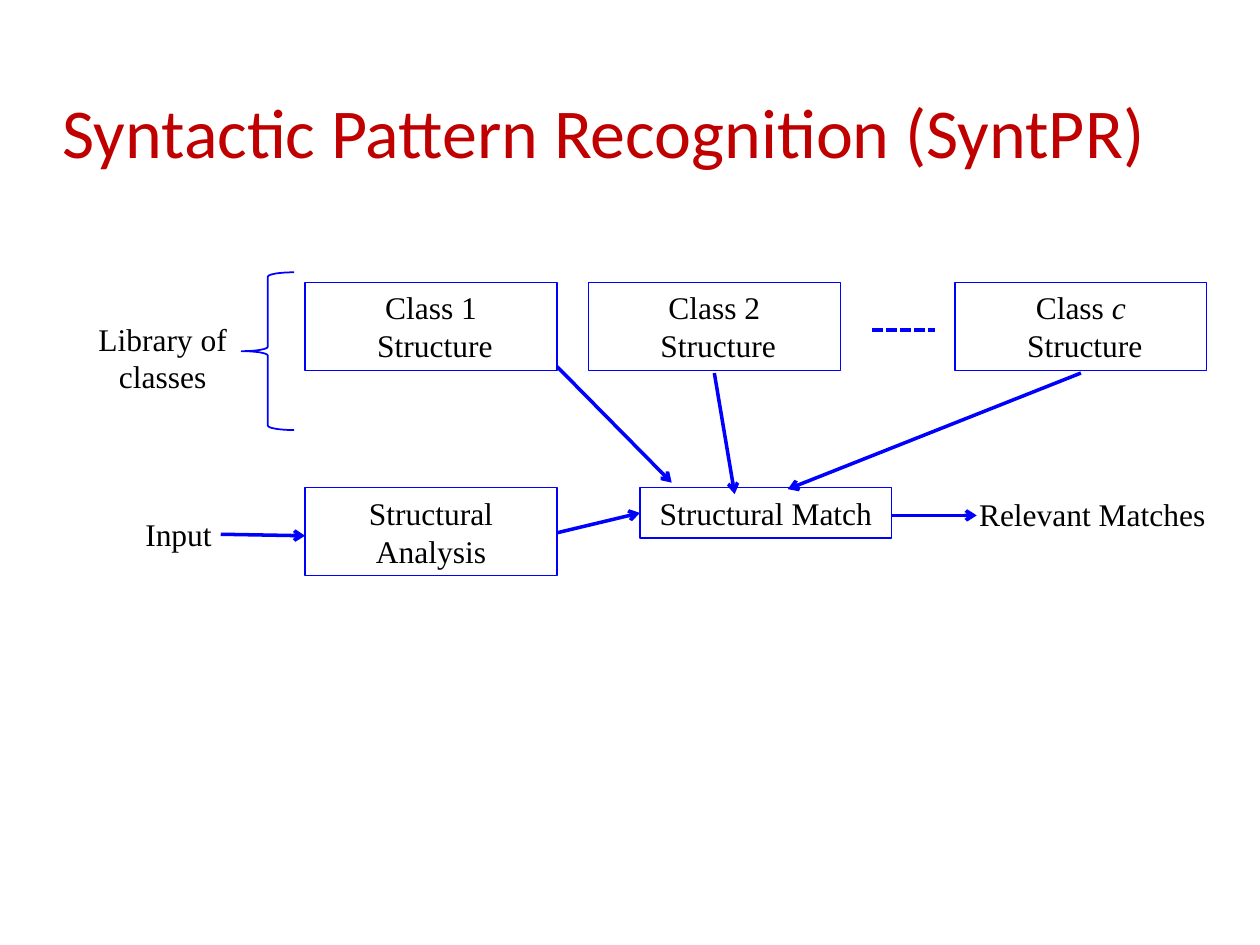
import pptx
import pptx.util
import pptx.dml.color
import pptx.enum.dml
import pptx.enum.shapes
import pptx.enum.text
import pptx.oxml.ns
from lxml import etree

Cm = pptx.util.Cm
Pt = pptx.util.Pt
RGB = pptx.dml.color.RGBColor.from_string

THEME = {
    "title": "C00000", "text": "000000", "line": "0000FF",
    "title_font": "Calibri", "body_font": "Times New Roman",
    "title_size": 40, "body_size": 18,
    "box_line": 0.75, "brace_line": 1, "arrow_line": 2,
}

TITLE = "Syntactic Pattern Recognition (SyntPR)"
BOX_W, ONE_LINE, TWO_LINES = 5.08, 1.02, 1.78
CLASS_TOP, MATCH_TOP = 5.69, 9.83
ANALYSIS_LEFT, MATCH_LEFT = 6.15, 12.9
ANALYSIS_RIGHT, MATCH_RIGHT = ANALYSIS_LEFT + BOX_W, MATCH_LEFT + BOX_W

CLASSES = [("1", ANALYSIS_LEFT), ("2", 11.86), ("c", 19.25)]
STEPS = [
    ("Structural Analysis", ANALYSIS_LEFT, TWO_LINES),
    ("Structural Match", MATCH_LEFT, ONE_LINE),
]
LABELS = [
    ("Relevant Matches", 19.48, 9.86, BOX_W, ONE_LINE),
    ("Input", 2.54, 10.26, 2.12, ONE_LINE),
    ("Library of classes", 1.48, 6.32, 3.6, TWO_LINES),
]
BRACE = (4.87, 5.49, 1.06, 3.18)
ELLIPSIS = (17.58, 6.65, 18.85, 6.65)
ARROWS = [
    (ANALYSIS_RIGHT, 10.74, MATCH_LEFT, 10.34),
    (MATCH_RIGHT, 10.39, 19.69, 10.39),
    (4.45, 10.77, ANALYSIS_LEFT, 10.8),
    (ANALYSIS_RIGHT, 7.39, 13.54, 9.73),
    (14.4, 7.52, 14.81, 9.96),
    (21.79, 7.52, 15.88, 9.86),
]


def write(sp, paragraphs):
    tf = sp.text_frame
    tf.word_wrap = True
    tf.auto_size = pptx.enum.text.MSO_AUTO_SIZE.SHAPE_TO_FIT_TEXT
    tf.vertical_anchor = pptx.enum.text.MSO_ANCHOR.TOP
    for i, runs in enumerate(paragraphs):
        p = tf.add_paragraph() if i else tf.paragraphs[0]
        p.alignment = pptx.enum.text.PP_ALIGN.CENTER
        for text in runs:
            r = p.add_run()
            r.text = text
            r.font.name = THEME["body_font"]
            r.font.size = Pt(THEME["body_size"])
            r.font.color.rgb = RGB(THEME["text"])
            if text == "c":
                r.font.italic = True


def outline(sp, width):
    sp.line.color.rgb = RGB(THEME["line"])
    sp.line.width = Pt(width)


def add_shape(s, kind, place, width):
    sp = s.shapes.add_shape(kind, *map(Cm, place))
    sp.shadow.inherit = False
    sp.fill.background()
    outline(sp, width)
    return sp


def add_box(s, paragraphs, left, top, height):
    place = (left, top, BOX_W, height)
    kind = pptx.enum.shapes.MSO_SHAPE.RECTANGLE
    write(add_shape(s, kind, place, THEME["box_line"]), paragraphs)


def add_line(s, ends):
    kind = pptx.enum.shapes.MSO_CONNECTOR.STRAIGHT
    sp = s.shapes.add_connector(kind, *map(Cm, ends))
    outline(sp, THEME["arrow_line"])
    etree.SubElement(sp._element.spPr, pptx.oxml.ns.qn("a:effectLst"))
    return sp


def add_title(s):
    sp = s.shapes.title
    sp.left, sp.top, sp.width, sp.height = map(Cm, (0.84, 1.9, 22.66, 1.48))
    tf = sp.text_frame
    tf.text = TITLE
    tf.word_wrap = True
    tf.vertical_anchor = pptx.enum.text.MSO_ANCHOR.MIDDLE
    p = tf.paragraphs[0]
    p.alignment = pptx.enum.text.PP_ALIGN.CENTER
    font = p.runs[0].font
    font.name = THEME["title_font"]
    font.size = Pt(THEME["title_size"])
    font.color.rgb = RGB(THEME["title"])


def main():
    prs = pptx.Presentation()
    prs.slide_width, prs.slide_height = Cm(25.4), Cm(19.05)
    s = prs.slides.add_slide(prs.slide_layouts[5])
    add_title(s)

    for name, left in CLASSES:
        add_box(s, [["Class ", name], [" Structure"]], left, CLASS_TOP, TWO_LINES)
    for text, left, height in STEPS:
        add_box(s, [[text]], left, MATCH_TOP, height)
    for text, *place in LABELS:
        write(s.shapes.add_textbox(*map(Cm, place)), [[text]])

    add_shape(s, pptx.enum.shapes.MSO_SHAPE.LEFT_BRACE, BRACE, THEME["brace_line"])
    add_line(s, ELLIPSIS).line.dash_style = pptx.enum.dml.MSO_LINE.SQUARE_DOT
    for ends in ARROWS:
        ln = add_line(s, ends).line._get_or_add_ln()
        etree.SubElement(ln, pptx.oxml.ns.qn("a:tailEnd"), type="arrow")

    prs.save("out.pptx")


if __name__ == "__main__":
    main()
